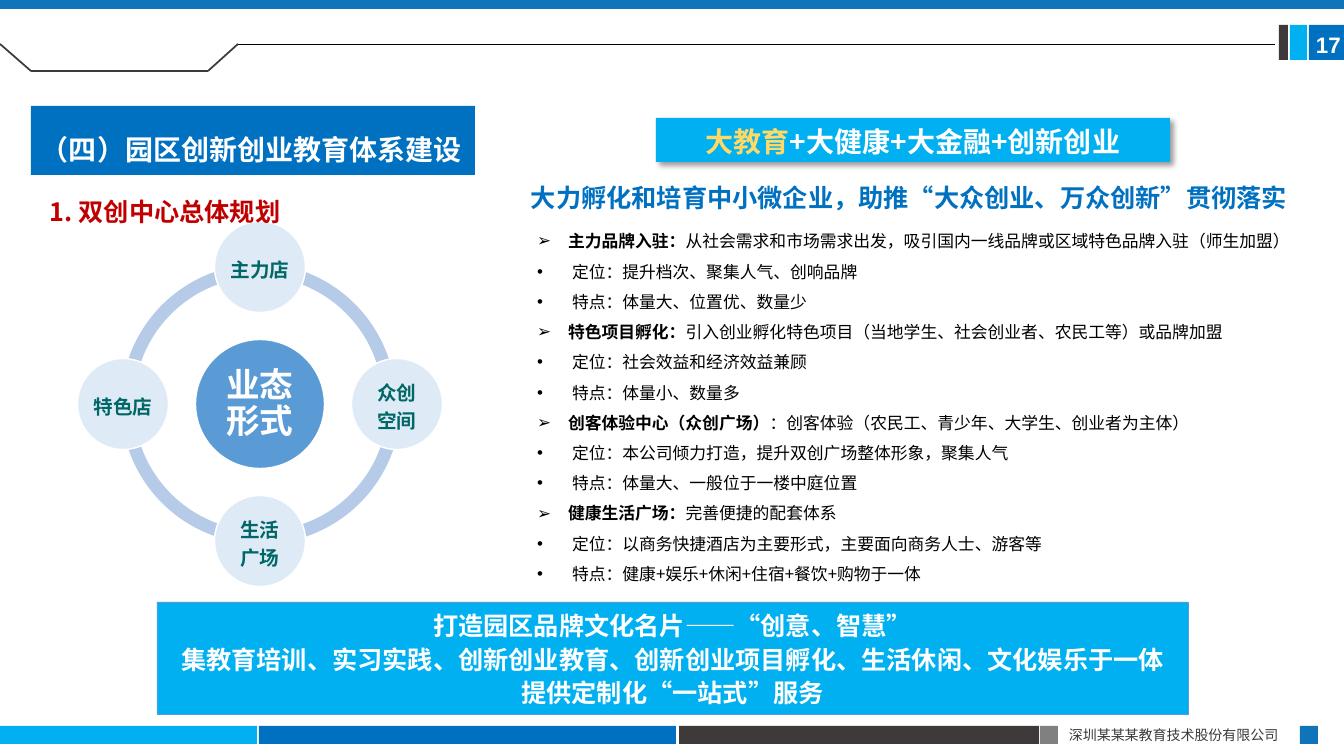
import math
from dataclasses import dataclass

import lxml.etree
import pptx
import pptx.dml.color
import pptx.enum.lang
import pptx.enum.shapes
import pptx.enum.text
import pptx.oxml.ns
import pptx.util

EMU_PER_PX = 12192000 / 1344
SHAPES = pptx.enum.shapes.MSO_SHAPE
ALIGN = pptx.enum.text.PP_ALIGN
ANCHOR = pptx.enum.text.MSO_ANCHOR
qn = pptx.oxml.ns.qn


@dataclass(frozen=True)
class Theme:
    blue: str = "0070C0"
    edge_blue: str = "1074BB"
    sky: str = "00B0F0"
    dark: str = "3E3A39"
    gray: str = "808080"
    white: str = "FFFFFF"
    black: str = "000000"
    gold: str = "FFD966"
    red: str = "C00000"
    teal: str = "006666"
    ring: str = "B5CBE7"
    hub: str = "5B9BD5"
    bubble: str = "DEEBF7"
    cjk: str = "Noto Sans CJK SC"
    heading_face: str = "Calibri"
    number_face: str = "Arial"
    hub_size: int = 24
    heading: int = 20
    subheading: int = 18
    number: int = 16
    bubble_size: int = 14
    body: int = 12
    footer: int = 10


THEME = Theme()

TOPICS = [
    ("主力品牌入驻：", "从社会需求和市场需求出发，吸引国内一线品牌或区域特色品牌入驻（师生加盟）",
     "定位：提升档次、聚集人气、创响品牌", "特点：体量大、位置优、数量少"),
    ("特色项目孵化：", "引入创业孵化特色项目（当地学生、社会创业者、农民工等）或品牌加盟",
     "定位：社会效益和经济效益兼顾", "特点：体量小、数量多"),
    ("创客体验中心（众创广场）", "：创客体验（农民工、青少年、大学生、创业者为主体）",
     "定位：本公司倾力打造，提升双创广场整体形象，聚集人气", "特点：体量大、一般位于一楼中庭位置"),
    ("健康生活广场：", "完善便捷的配套体系",
     "定位：以商务快捷酒店为主要形式，主要面向商务人士、游客等",
     "特点：健康+娱乐+休闲+住宿+餐饮+购物于一体"),
]


def px(length):
    return pptx.util.Emu(round(length * EMU_PER_PX))


def rgb(color):
    return pptx.dml.color.RGBColor.from_string(color)


def add_box(page, kind, left, top, width, height, fill, line=None, weight=1):
    box = page.shapes.add_shape(kind, px(left), px(top), px(width), px(height))
    box.shadow.inherit = False
    box.fill.solid()
    box.fill.fore_color.rgb = rgb(fill)
    if line:
        box.line.color.rgb = rgb(line)
        box.line.width = pptx.util.Pt(weight)
    else:
        box.line.fill.background()
    return box


def add_text_box(page, left, top, width, height):
    return page.shapes.add_textbox(px(left), px(top), px(width), px(height))


def add_line(page, start, end, color, weight):
    line = page.shapes.add_connector(
        pptx.enum.shapes.MSO_CONNECTOR.STRAIGHT, *map(px, start + end))
    line.line.color.rgb = rgb(color)
    line.line.width = pptx.util.Pt(weight)
    lxml.etree.SubElement(line._element.spPr, qn("a:effectLst"))


def add_shadow(box):
    effects = box._element.spPr.find(qn("a:effectLst"))
    shadow = lxml.etree.SubElement(effects, qn("a:outerShdw"), blurRad="50800",
                                   dist="38100", dir="2700000", algn="tl", rotWithShape="0")
    color = lxml.etree.SubElement(shadow, qn("a:srgbClr"), val=THEME.black)
    lxml.etree.SubElement(color, qn("a:alpha"), val="40000")


def set_frame(box, margins=(10, 5), anchor=ANCHOR.TOP, wrap=True):
    frame = box.text_frame
    frame.word_wrap = wrap
    frame.vertical_anchor = anchor
    frame.margin_left = frame.margin_right = px(margins[0])
    frame.margin_top = frame.margin_bottom = px(margins[1])
    return frame


def add_span(para, text, *, size, color, bold=True, face=THEME.cjk):
    span = para.add_run()
    span.text = text
    font = span.font
    font.size = pptx.util.Pt(size)
    font.bold = bold
    font.color.rgb = rgb(color)
    font.name = face
    font.language_id = pptx.enum.lang.MSO_LANGUAGE_ID.SIMPLIFIED_CHINESE
    latin = font._element.find(qn("a:latin"))
    latin.addnext(latin.makeelement(qn("a:ea"), {"typeface": THEME.cjk}))


def add_para(frame, leading=None, align=ALIGN.LEFT, bullet=None, indent=0):
    first = frame.paragraphs[0]
    para = frame.add_paragraph() if first.runs else first
    para.alignment = align
    if leading:
        para.line_spacing = pptx.util.Pt(leading)
    if bullet:
        props = para._element.get_or_add_pPr()
        props.set("marL", str(px(indent)))
        props.set("indent", str(-px(indent)))
        lxml.etree.SubElement(props, qn("a:buFont"), typeface=THEME.number_face)
        lxml.etree.SubElement(props, qn("a:buChar"), char=bullet)
    return para


def add_lines(frame, lines, leading=None, align=ALIGN.LEFT, **style):
    for text in lines:
        add_span(add_para(frame, leading, align), text, **style)


def draw_frame(page):
    # Top band, stepped rule and page number
    add_box(page, SHAPES.RECTANGLE, 0, 0, 1344, 9, THEME.edge_blue)
    for left, width, fill in ((1279, 9, THEME.dark), (1290, 17, THEME.sky), (1309, 35, THEME.blue)):
        add_box(page, SHAPES.RECTANGLE, left, 25, width, 35, fill)
    add_lines(set_frame(add_text_box(page, 1316, 31, 28, 27), (0, 0), wrap=False), ["17"],
              size=THEME.number, color=THEME.white, face=THEME.number_face)
    steps = [(0, 44), (31, 71), (208, 71), (238, 44)]
    for start, end in zip(steps, steps[1:]):
        add_line(page, start, end, THEME.dark, 1.25)
    add_line(page, steps[-1], (1275, 44), THEME.black, 0.5)

    # Footer
    for left, width, fill in ((0, 257, THEME.sky), (259, 417, THEME.blue), (679, 360, THEME.dark),
                              (1040, 18, THEME.gray), (1300, 18, THEME.edge_blue)):
        add_box(page, SHAPES.RECTANGLE, left, 726, width, 18, fill)
    add_lines(set_frame(add_text_box(page, 1059, 722, 242, 27)), ["深圳某某某教育技术股份有限公司"],
              leading=12, size=THEME.footer, color=THEME.dark, bold=False)


def draw_disc(page, center, diameter, fill, lines, leading, size, color):
    left, top = (c - diameter / 2 for c in center)
    add_box(page, SHAPES.OVAL, left, top, diameter, diameter, fill, THEME.white)
    inset = diameter * 0.15
    side = diameter - 2 * inset
    label = add_text_box(page, left + inset, top + inset, side, side)
    add_lines(set_frame(label, (0, 0), ANCHOR.MIDDLE), lines, leading, ALIGN.CENTER,
              size=size, color=color)


def draw_ring(page):
    # Four quarter arcs; the top right one sits slightly to the left
    for start, end, left, top in ((108, 162, 121, 264), (54, 108, 121, 264),
                                  (0, 54, 121, 264), (162, 0, 116, 263)):
        arc = add_box(page, SHAPES.BLOCK_ARC, left, top, 280, 280, THEME.ring)
        for index, value in enumerate((start, end, 0.046)):
            arc.adjustments[index] = value

    # Hub and its four satellites, clockwise from the top
    center, radius = (260, 404), 137
    draw_disc(page, center, 129, THEME.hub, ["业态形式"], 26, THEME.hub_size, THEME.white)
    satellites = (["主力店"], ["众创", "空间"], ["生活", "广场"], ["特色店"])
    for index, lines in enumerate(satellites):
        angle = math.radians(90 * index - 90)
        spot = (center[0] + radius * math.cos(angle), center[1] + radius * math.sin(angle))
        draw_disc(page, spot, 91, THEME.bubble, lines, 20, THEME.bubble_size, THEME.teal)


def draw_topics(page):
    frame = set_frame(add_text_box(page, 527, 216, 817, 377))
    style = {"size": THEME.body, "color": THEME.black}
    for name, detail, *points in TOPICS:
        para = add_para(frame, 21.6, bullet="➢", indent=31)
        add_span(para, name, **style)
        add_span(para, detail, bold=False, **style)
        for point in points:
            add_span(add_para(frame, 21.6, bullet="•", indent=35), point, bold=False, **style)


def draw_headings(page):
    title = add_box(page, SHAPES.RECTANGLE, 31, 106, 444, 69, THEME.blue)
    add_lines(set_frame(title, anchor=ANCHOR.MIDDLE), ["（四）园区创新创业教育体系建设"], leading=36,
              size=THEME.heading, color=THEME.white, face=THEME.heading_face)
    add_lines(set_frame(add_text_box(page, 42, 192, 250, 38), (8, 4)), ["1. 双创中心总体规划"],
              leading=21.6, size=THEME.subheading, color=THEME.red)

    formula = add_box(page, SHAPES.RECTANGLE, 656, 118, 514, 44, THEME.sky)
    add_shadow(formula)
    para = add_para(set_frame(formula, anchor=ANCHOR.MIDDLE), 26, ALIGN.CENTER)
    add_span(para, "大教育", size=THEME.heading, color=THEME.gold)
    add_span(para, "+大健康+大金融+创新创业", size=THEME.heading, color=THEME.white)
    add_lines(set_frame(add_text_box(page, 521, 160, 784, 50), wrap=False),
              ["大力孵化和培育中小微企业，助推“大众创业、万众创新”贯彻落实"],
              leading=34, size=THEME.subheading, color=THEME.blue)


def draw_banner(page):
    banner = add_box(page, SHAPES.RECTANGLE, 157, 602, 1031, 112, THEME.sky, THEME.hub, 0.5)
    add_lines(set_frame(banner),
              ["打造园区品牌文化名片——“创意、智慧”",
               "集教育培训、实习实践、创新创业教育、创新创业项目孵化、生活休闲、文化娱乐于一体",
               "提供定制化“一站式”服务"],
              leading=24, align=ALIGN.CENTER, size=THEME.subheading, color=THEME.white)


def main():
    deck = pptx.Presentation()
    deck.slide_width, deck.slide_height = px(1344), px(756)
    page = deck.slides.add_slide(deck.slide_layouts[6])
    draw_frame(page)
    draw_topics(page)
    draw_ring(page)
    draw_headings(page)
    draw_banner(page)
    deck.save("out.pptx")


if __name__ == "__main__":
    main()
